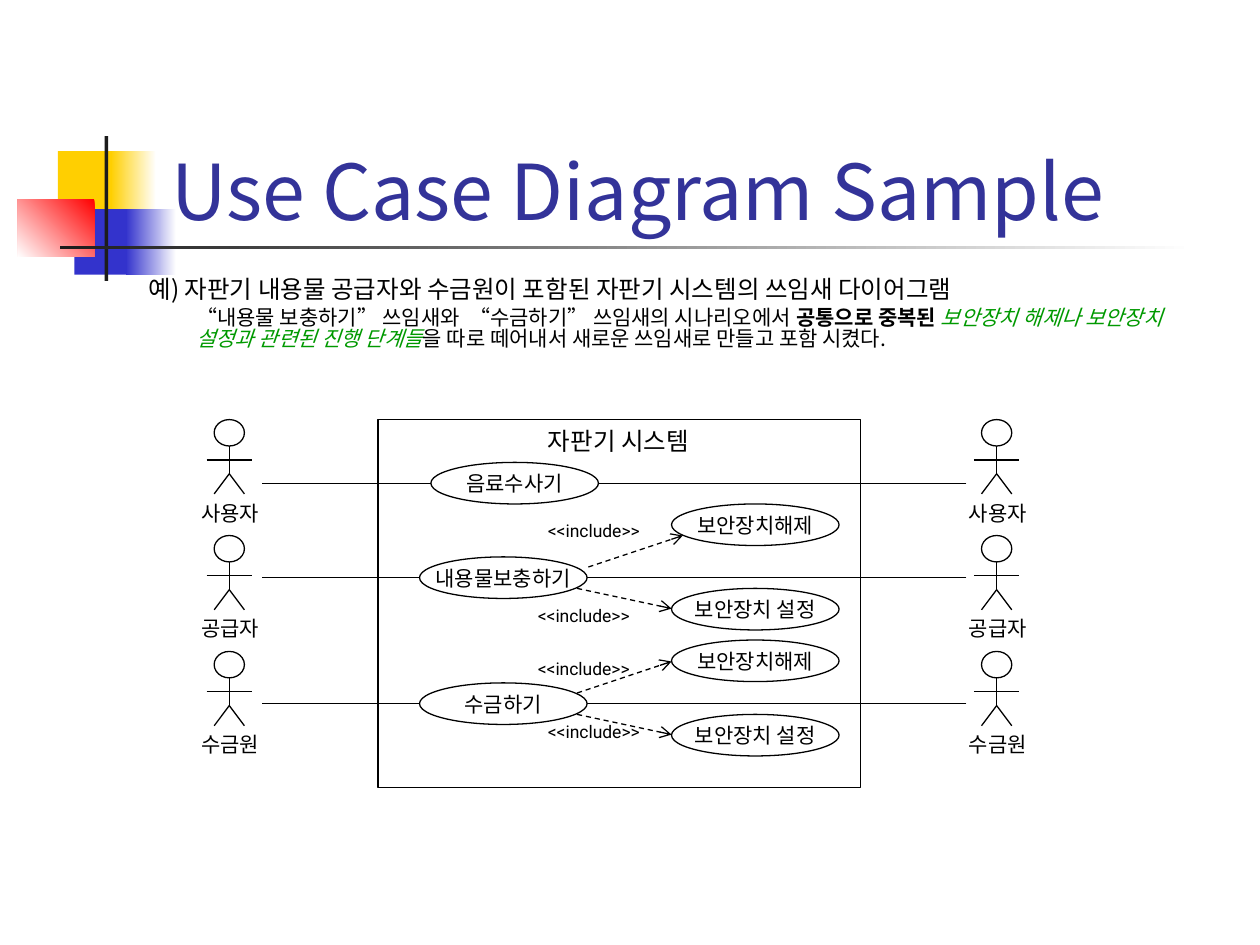
from lxml import etree
from pptx import Presentation
from pptx.dml.color import RGBColor
from pptx.enum.dml import MSO_LINE
from pptx.enum.shapes import MSO_CONNECTOR, MSO_SHAPE
from pptx.enum.text import MSO_ANCHOR, MSO_AUTO_SIZE, PP_ALIGN
from pptx.oxml.ns import qn
from pptx.util import Inches, Pt

RECTANGLE, OVAL = MSO_SHAPE.RECTANGLE, MSO_SHAPE.OVAL
STRAIGHT, DASH = MSO_CONNECTOR.STRAIGHT, MSO_LINE.DASH
MIDDLE, BOTTOM = MSO_ANCHOR.MIDDLE, MSO_ANCHOR.BOTTOM
CENTER, FIT_SHAPE = PP_ALIGN.CENTER, MSO_AUTO_SIZE.SHAPE_TO_FIT_TEXT

COLORS = {
    "black": "000000", "white": "FFFFFF", "title": "333399", "green": "009900",
    "yellow": "FFCF01", "blue": "3333CC", "red": "FF0000", "bar": "1C1C1C",
}
KOREAN_FONT, LATIN_FONT = "Noto Sans CJK KR", "Roboto"
LINE_WIDTH = Pt(0.75)
CASE_WIDTH, CASE_HEIGHT = 1.33, 0.33

# Left, top, width, height, color at the start, color at the end, angle
DECORATIONS = [
    (0.46, 1.2, 0.48, 0.52, "yellow", None, 0),
    (0.88, 1.2, 0.36, 0.52, "white", "yellow", 180),
    (0.59, 1.66, 0.46, 0.52, "blue", None, 0),
    (1, 1.66, 0.4, 0.52, "white", "blue", 180),
    (0.14, 1.58, 0.61, 0.46, "red", "white", 225),
    (0.83, 1.08, 0.03, 1.15, "bar", None, 0),
    (0.48, 1.95, 9, 0.03, "white", "bar", 180),
]
ACTORS = ["사용자", "공급자", "수금원"]
ACTOR_CENTERS = [1.82, 7.91]
ACTOR_TOP, ACTOR_PITCH = 3.33, 0.92
ASSOCIATION_ENDS = [2.08, 7.67]

# Text, left, top
MAIN_CASES = [("음료수사기", 3.42, 3.67), ("내용물보충하기", 3.33, 4.42), ("수금하기", 3.33, 5.42)]
INCLUDED_LEFT = 5.33
INCLUDED_CASES = [("보안장치해제", 4), ("보안장치 설정", 4.67),
                  ("보안장치해제", 5.08), ("보안장치 설정", 5.67)]
# Arrow start, arrow end, label corner
INCLUDES = [
    ((4.67, 4.5), (5.42, 4.25), (4.25, 4.08)),
    ((4.58, 4.67), (5.33, 4.83), (4.17, 4.75)),
    ((4.58, 5.5), (5.33, 5.25), (4.17, 5.17)),
    ((4.58, 5.67), (5.33, 5.83), (4.25, 5.67)),
]
# Text, color, bold, italic
DESCRIPTION = [
    ("“내용물 보충하기” 쓰임새와  “수금하기” 쓰임새의 시나리오에서 ", "black", False, False),
    ("공통으로 중복된 ", "black", True, False),
    ("보안장치 해제나 보안장치 설정과 관련된 진행 단계들", "green", False, True),
    ("을 따로 떼어내서 새로운 쓰임새로 만들고 포함 시켰다.", "black", False, False),
]


def rgb(name):
    return RGBColor.from_string(COLORS[name])


def format_run(run, size, color="black", font=LATIN_FONT):
    run.font.size = Pt(size)
    run.font.name = font
    run.font.color.rgb = rgb(color)
    east_asian = etree.SubElement(run.font._element, qn("a:ea"))
    east_asian.set("typeface", KOREAN_FONT)


def add_decoration(shapes, left, top, width, height, start, end, angle):
    shape = shapes.add_shape(RECTANGLE, Inches(left), Inches(top), Inches(width), Inches(height))
    shape.shadow.inherit = False
    shape.line.fill.background()
    if end is None:
        shape.fill.solid()
        shape.fill.fore_color.rgb = rgb(start)
        return
    shape.fill.gradient()
    shape.fill.gradient_angle = angle
    for stop, color in zip(shape.fill.gradient_stops, (start, end)):
        stop.color.rgb = rgb(color)


def add_outline(shapes, kind, left, top, width, height):
    shape = shapes.add_shape(kind, Inches(left), Inches(top), Inches(width), Inches(height))
    shape.shadow.inherit = False
    shape.fill.background()
    shape.line.color.rgb = rgb("black")
    shape.line.width = LINE_WIDTH
    return shape


def add_line(shapes, start, end, arrow=False):
    line = shapes.add_connector(STRAIGHT, *(Inches(value) for value in (*start, *end)))
    line.line.color.rgb = rgb("black")
    line.line.width = LINE_WIDTH
    if arrow:
        line.line.dash_style = DASH
        etree.SubElement(line.line._get_or_add_ln(), qn("a:tailEnd")).set("type", "arrow")
    etree.SubElement(line._element.spPr, qn("a:effectLst"))


def add_text(shapes, text, left, top, width, height, size, color="black", font=LATIN_FONT):
    box = shapes.add_textbox(Inches(left), Inches(top), Inches(width), Inches(height))
    text_frame = box.text_frame
    text_frame.word_wrap = True
    text_frame.text = text
    format_run(text_frame.paragraphs[0].runs[0], size, color, font)
    return text_frame


def add_label(shapes, text, left, top, width, height, size):
    add_text(shapes, text, left, top, width, height, size).auto_size = FIT_SHAPE


def add_description(shapes):
    text_frame = add_text(shapes, "예) 자판기 내용물 공급자와 수금원이 포함된 자판기 시스템의 쓰임새 다이어그램",
                          1.08, 2.17, 8.67, 1, 14, font=KOREAN_FONT)
    detail = text_frame.add_paragraph()
    detail.space_before = Pt(3)
    for text, color, bold, italic in DESCRIPTION:
        run = detail.add_run()
        run.text = text
        format_run(run, 12, color, KOREAN_FONT)
        run.font.bold, run.font.italic = bold, italic
    for paragraph, indent in zip(text_frame.paragraphs, (-0.38, 0)):
        paragraph.line_spacing = 0.82
        properties = paragraph._p.get_or_add_pPr()
        properties.set("marL", str(Inches(0.38)))
        properties.set("indent", str(Inches(indent)))


def add_use_case(shapes, text, left, top):
    shape = add_outline(shapes, OVAL, left, top, CASE_WIDTH, CASE_HEIGHT)
    text_frame = shape.text_frame
    text_frame.word_wrap = False
    text_frame.vertical_anchor = MIDDLE
    text_frame.text = text
    paragraph = text_frame.paragraphs[0]
    paragraph.alignment = CENTER
    format_run(paragraph.runs[0], 12)


def add_actor(slide, name, center, top):
    shapes = slide.shapes.add_group_shape().shapes
    hip, foot = top + 0.43, top + 0.59
    add_outline(shapes, OVAL, center - 0.12, top, 0.24, 0.21)
    add_line(shapes, (center, top + 0.21), (center, hip))
    add_line(shapes, (center - 0.18, top + 0.32), (center + 0.18, top + 0.32))
    for side in (-0.12, 0.12):
        add_line(shapes, (center, hip), (center + side, foot))
    add_label(shapes, name, center - 0.32, foot, 0.92, 0.3, 12)


def main():
    presentation = Presentation()
    presentation.slide_width, presentation.slide_height = Inches(10), Inches(7.5)
    slide = presentation.slides.add_slide(presentation.slide_layouts[6])
    shapes = slide.shapes

    # Corner decoration and heading
    for decoration in DECORATIONS:
        add_decoration(shapes, *decoration)
    title = add_text(shapes, "Use Case Diagram Sample", 1.26, 0.67, 8.52, 1.25,
                     44, "title", KOREAN_FONT)
    title.vertical_anchor = BOTTOM
    add_description(shapes)

    # System boundary
    add_outline(shapes, RECTANGLE, 3, 3.33, 3.83, 2.92)
    add_label(shapes, "자판기 시스템", 4.25, 3.33, 1.92, 0.34, 14)

    # Actors on both sides
    for center in ACTOR_CENTERS:
        for row, name in enumerate(ACTORS):
            add_actor(slide, name, center, ACTOR_TOP + row * ACTOR_PITCH)

    # Use cases and their associations
    for text, left, top in MAIN_CASES:
        add_use_case(shapes, text, left, top)
        middle = top + CASE_HEIGHT / 2
        for outer, edge in zip(ASSOCIATION_ENDS, (left, left + CASE_WIDTH)):
            add_line(shapes, (outer, middle), (edge, middle))
    for text, top in INCLUDED_CASES:
        add_use_case(shapes, text, INCLUDED_LEFT, top)

    # Include relations
    for start, end, corner in INCLUDES:
        add_line(shapes, start, end, arrow=True)
        add_label(shapes, "<<include>>", *corner, 1, 0.27, 10)

    presentation.save("out.pptx")


if __name__ == "__main__":
    main()
